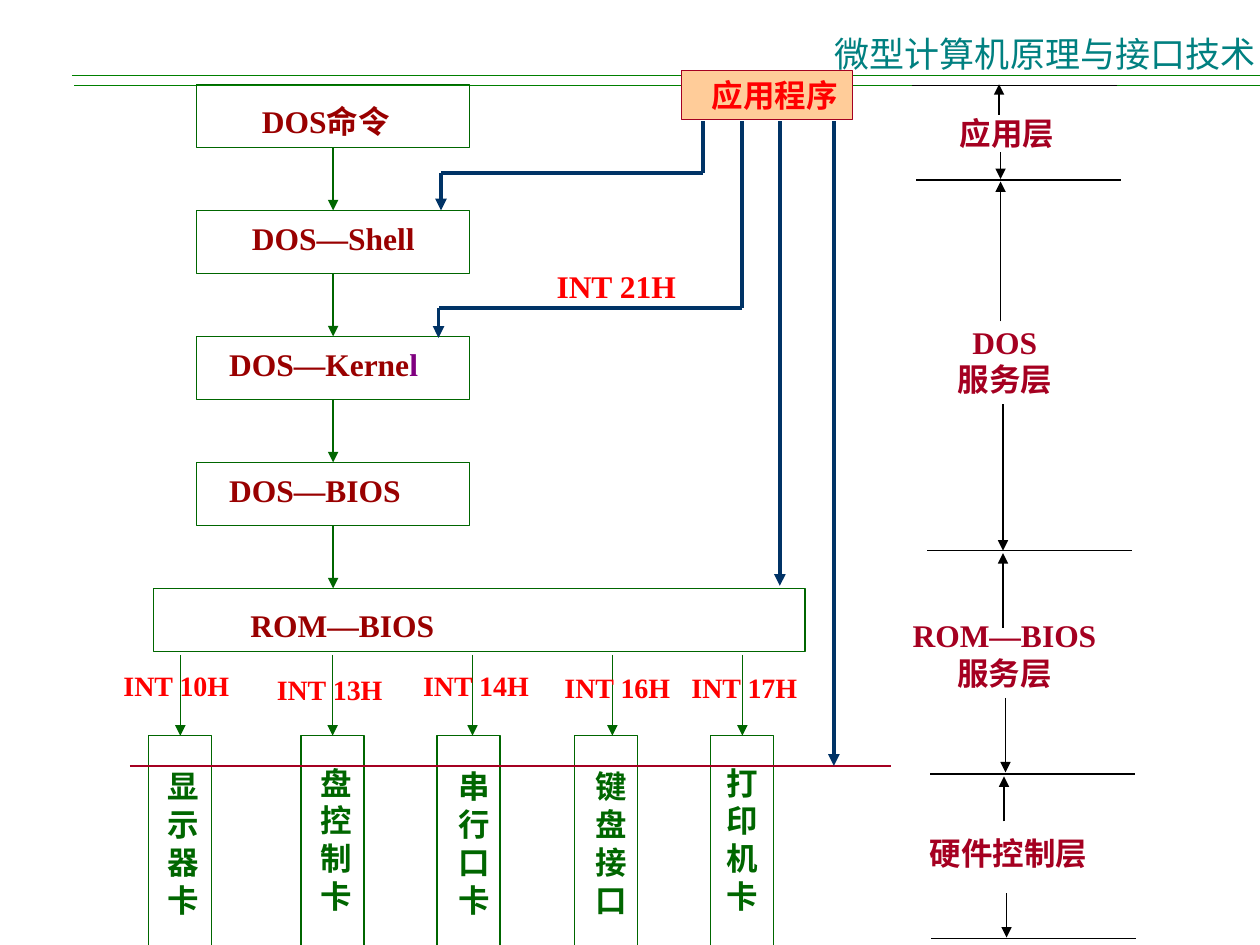
from dataclasses import dataclass
from itertools import pairwise

from lxml import etree
from pptx import Presentation
from pptx.dml.color import RGBColor
from pptx.enum.shapes import MSO_CONNECTOR, MSO_SHAPE
from pptx.enum.text import MSO_ANCHOR, MSO_AUTO_SIZE, PP_ALIGN
from pptx.oxml.ns import qn
from pptx.util import Cm, Pt

STRAIGHT = MSO_CONNECTOR.STRAIGHT
RECTANGLE = MSO_SHAPE.RECTANGLE
LEFT, CENTER = PP_ALIGN.LEFT, PP_ALIGN.CENTER
ANCHOR_TOP, FIXED_SIZE = MSO_ANCHOR.TOP, MSO_AUTO_SIZE.NONE
TOP_SITE, BOTTOM_SITE = 0, 2
TITLE_ONLY = 5


@dataclass(frozen=True)
class Theme:
    latin: str = "Times New Roman"
    east_asian: str = "Noto Sans CJK SC"
    title: str = "008080"
    header_rule: str = "008000"
    green: str = "006600"
    module: str = "990000"
    accent: str = "800080"
    layer: str = "A50021"
    interrupt: str = "FF0000"
    call: str = "003366"
    application_fill: str = "FFCC99"
    black: str = "000000"
    title_size: float = 20
    body_size: float = 18
    small_size: float = 16
    thin: float = 0.75
    thick: float = 2.25


@dataclass(frozen=True)
class Box:
    """Position and size in centimetres."""
    left: float
    top: float
    width: float
    height: float = 1.02

    def lengths(self):
        return Cm(self.left), Cm(self.top), Cm(self.width), Cm(self.height)


@dataclass(frozen=True)
class Module:
    text: str
    label: Box


@dataclass(frozen=True)
class Adapter:
    text: str
    left: float
    label: Box
    interrupt: str
    interrupt_left: float
    interrupt_top: float
    arrow_offset: float = 0


@dataclass(frozen=True)
class Layer:
    text: str
    label: Box
    up_x: float
    up: tuple[float, float]
    down_x: float
    down: tuple[float, float]


THEME = Theme()
MODULE_LEFT, MODULE_WIDTH, MODULE_HEIGHT = 3.96, 5.51, 1.27
MODULE_TOP, MODULE_STEP = 1.7, 2.54
ROM_BOX = Box(3.1, 11.86, 13.13, MODULE_HEIGHT)
ADAPTER_TOP, ADAPTER_WIDTH, ADAPTER_HEIGHT = 14.83, 1.27, 4.24
CALL_TOP, HARDWARE_LINE = 2.44, 15.44
RULER_WIDTH = 4.13

MODULES = [
    Module("DOS命令", Box(5.03, 1.93, 3.4)),
    Module("DOS—Shell", Box(4.83, 4.29, 4.3)),
    Module("DOS—Kerne", Box(4.37, 6.83, 4.6)),
    Module("DOS—BIOS", Box(4.37, 9.37, 4.3)),
]
ADAPTERS = [
    Adapter("显\n示\n器\n卡", 3.0, Box(3.12, 15.34, 1.14, 3.3), "INT 10H", 2.24, 13.36),
    Adapter("盘\n控\n制\n卡", 6.07, Box(6.22, 15.27, 1.14, 3.3), "INT 13H", 5.33, 13.44),
    Adapter("串行口卡", 8.81, Box(8.99, 15.34, 1.09, 3.3), "INT 14H", 8.28, 13.36, 0.08),
    Adapter("键盘接口", 11.58, Box(11.76, 15.34, 0.89, 3.3), "INT 16H", 11.13, 13.39, 0.13),
    Adapter("打印机卡", 14.33, Box(14.4, 15.27, 1.09, 3.3), "INT 17H", 13.69, 13.39),
]
LAYERS = [
    Layer("应用层", Box(19.1, 2.18, 2.41), 20.14, (2.31, 1.7), 20.17, (3.07, 3.61)),
    Layer("DOS\n服务层", Box(19.05, 6.38, 2.41, 1.78), 20.17, (6.48, 3.66), 20.22, (8.15, 11.1)),
    Layer("ROM—BIOS\n服务层", Box(18.14, 12.29, 4.22, 1.78),
          20.22, (12.65, 11.15), 20.27, (14.07, 15.57)),
    Layer("硬件控制层", Box(18.49, 16.69, 3.68), 20.24, (16.56, 15.65), 20.29, (18.01, 18.9)),
]
RULERS = [(18.39, 1.73), (18.47, 3.63), (18.69, 11.1), (18.75, 15.6), (18.77, 18.92)]
CALL_ROUTES = [
    [(14.17, CALL_TOP), (14.17, 3.48), (8.89, 3.48), (8.89, 4.24)],
    [(14.96, CALL_TOP), (14.96, 6.2), (8.84, 6.2), (8.84, 6.81)],
    [(15.72, CALL_TOP), (15.72, 11.81)],
    [(16.81, CALL_TOP), (16.81, HARDWARE_LINE)],
]


def style_run(run, color: str, size: float, latin: str = THEME.latin, bold: bool = True):
    run.font.name, run.font.size, run.font.bold = latin, Pt(size), bold
    run.font.color.rgb = RGBColor.from_string(color)
    run.font._element.find(qn("a:latin")).addnext(
        etree.Element(qn("a:ea"), typeface=THEME.east_asian))


def add_label(slide, text: str, box: Box, color: str, size: float = THEME.body_size,
              alignment=LEFT, wrap: bool = False):
    shape = slide.shapes.add_textbox(*box.lengths())
    shape.text_frame.text = text
    shape.text_frame.word_wrap = wrap
    for paragraph in shape.text_frame.paragraphs:
        paragraph.alignment = alignment
        for run in paragraph.runs:
            style_run(run, color, size)
    return shape


def add_box(slide, box: Box, line: str = THEME.green, fill: str | None = None):
    shape = slide.shapes.add_shape(RECTANGLE, *box.lengths())
    shape.shadow.inherit = False
    shape.line.color.rgb = RGBColor.from_string(line)
    shape.line.width = Pt(THEME.thin)
    if fill:
        shape.fill.solid()
        shape.fill.fore_color.rgb = RGBColor.from_string(fill)
    else:
        shape.fill.background()
    return shape


def add_line(slide, start: tuple[float, float], end: tuple[float, float], color: str,
             width: float = THEME.thin, arrow: bool = False):
    line = slide.shapes.add_connector(STRAIGHT, *(Cm(value) for value in (*start, *end)))
    line.line.color.rgb = RGBColor.from_string(color)
    line.line.width = Pt(width)
    if arrow:
        etree.SubElement(line.line._get_or_add_ln(), qn("a:tailEnd"), type="triangle")
    etree.SubElement(line._element.spPr, qn("a:effectLst"))
    return line


def add_header(slide):
    for left, top in ((1.45, 1.52), (1.5, 1.73)):
        add_line(slide, (left, top), (25.4, top), THEME.header_rule)
    title = slide.shapes.title
    title.left, title.top, title.width, title.height = Box(16.77, 0.53, 8.6, 0.96).lengths()
    frame = title.text_frame
    frame.text = "微型计算机原理与接口技术"
    frame.word_wrap, frame.auto_size = False, FIXED_SIZE
    frame.margin_left = frame.margin_right = 0
    frame.vertical_anchor = ANCHOR_TOP
    frame.paragraphs[0].alignment = CENTER
    style_run(frame.paragraphs[0].runs[0], THEME.title, THEME.title_size, THEME.east_asian, False)


def add_modules(slide):
    center = MODULE_LEFT + MODULE_WIDTH / 2
    previous = None
    for index, module in enumerate(MODULES):
        top = MODULE_TOP + index * MODULE_STEP
        shape = add_box(slide, Box(MODULE_LEFT, top, MODULE_WIDTH, MODULE_HEIGHT))
        label = add_label(slide, module.text, module.label, THEME.module)
        if module.text == "DOS—Kerne":
            last_letter = label.text_frame.paragraphs[0].add_run()
            last_letter.text = "l"
            style_run(last_letter, THEME.accent, THEME.body_size)
        if previous:
            arrow = add_line(slide, (center, top - MODULE_HEIGHT), (center, top),
                             THEME.green, arrow=True)
            arrow.begin_connect(previous, BOTTOM_SITE)
            arrow.end_connect(shape, TOP_SITE)
        previous = shape
    add_box(slide, ROM_BOX)
    add_label(slide, "ROM—BIOS", Box(4.8, 12.09, 4.4), THEME.module)
    arrow = add_line(slide, (center, ROM_BOX.top - MODULE_HEIGHT), (center, ROM_BOX.top),
                     THEME.green, arrow=True)
    arrow.begin_connect(previous, BOTTOM_SITE)


def add_adapter(slide, adapter: Adapter):
    shape = add_box(slide, Box(adapter.left, ADAPTER_TOP, ADAPTER_WIDTH, ADAPTER_HEIGHT))
    add_label(slide, adapter.text, adapter.label, THEME.green, wrap=True)
    x = adapter.left + ADAPTER_WIDTH / 2 + adapter.arrow_offset
    arrow = add_line(slide, (x, 13.2), (x, ADAPTER_TOP), THEME.green, arrow=True)
    if not adapter.arrow_offset:
        arrow.end_connect(shape, TOP_SITE)
    add_label(slide, adapter.interrupt, Box(adapter.interrupt_left, adapter.interrupt_top, 2.64, 0.94),
              THEME.interrupt, THEME.small_size)


def add_layer(slide, layer: Layer):
    add_label(slide, layer.text, layer.label, THEME.layer, alignment=CENTER)
    for x, (start, end) in ((layer.up_x, layer.up), (layer.down_x, layer.down)):
        add_line(slide, (x, start), (x, end), THEME.black, arrow=True)


def add_application_calls(slide):
    add_box(slide, Box(13.74, 1.42, 3.45, 0.99), THEME.layer, THEME.application_fill)
    add_label(slide, "应用程序", Box(14.1, 1.4, 3.05), THEME.interrupt)
    for route in CALL_ROUTES:
        for start, end in pairwise(route):
            add_line(slide, start, end, THEME.call, THEME.thick, arrow=end == route[-1])
    add_label(slide, "INT 21H", Box(10.97, 5.26, 2.92), THEME.interrupt)


def main():
    presentation = Presentation()
    presentation.slide_width, presentation.slide_height = Cm(25.4), Cm(19.05)
    slide = presentation.slides.add_slide(presentation.slide_layouts[TITLE_ONLY])
    add_header(slide)
    add_modules(slide)
    for adapter in ADAPTERS:
        add_adapter(slide, adapter)
    for left, top in RULERS:
        add_line(slide, (left, top), (left + RULER_WIDTH, top), THEME.black)
    for layer in LAYERS:
        add_layer(slide, layer)
    add_line(slide, (2.62, HARDWARE_LINE), (17.96, HARDWARE_LINE), THEME.layer)
    add_application_calls(slide)
    presentation.save("out.pptx")


if __name__ == "__main__":
    main()
